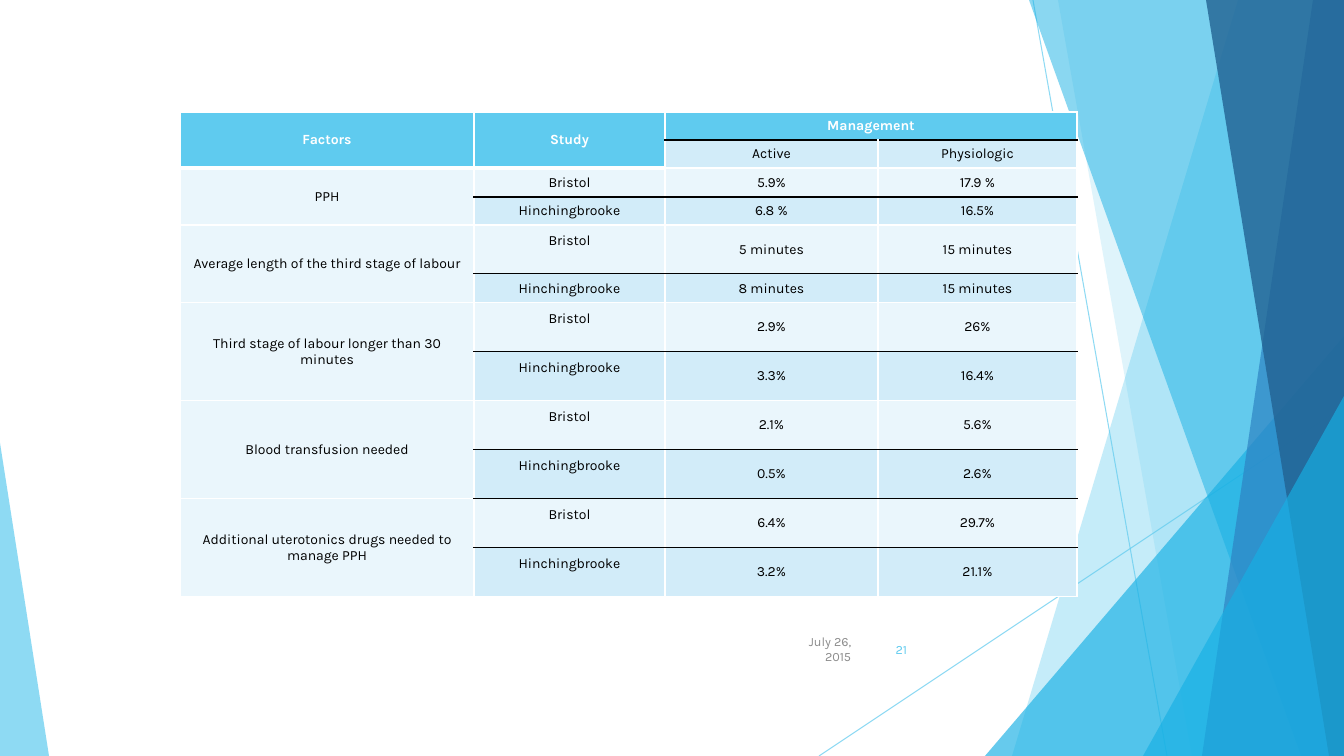
import pptx
import pptx.dml.color
import pptx.enum.shapes
import pptx.enum.text
import pptx.oxml.ns
import pptx.util
from lxml import etree

PX = 9071  # EMU per px
W, H = 1344, 756
FONT = "Karla"
SKY, CYAN, BLUE, NAVY = "5FCBEF", "17B0E4", "2E83C3", "226292"
PALE, LIGHT, WHITE, BLACK = "EAF6FC", "D2ECF9", "FFFFFF", "000000"
qn = pptx.oxml.ns.qn


def rgb(code):
    return pptx.dml.color.RGBColor.from_string(code)


def set_opacity(sp, percent):
    """Make every colour of the shape partly transparent."""
    for clr in sp._element.spPr.iter(qn("a:srgbClr")):
        etree.SubElement(clr, qn("a:alpha"), val=str(percent * 1000))


prs = pptx.Presentation()
prs.slide_width, prs.slide_height = W * PX, H * PX
s = prs.slides.add_slide(prs.slide_layouts[6])

# Thin lines behind the decoration
for x1, y1, x2, y2 in [(1033, 0, 1167, H), (W, 406, 819, H)]:
    line = s.shapes.add_connector(pptx.enum.shapes.MSO_CONNECTOR.STRAIGHT,
                                  x1 * PX, y1 * PX, x2 * PX, y2 * PX)
    line.line.color.rgb = rgb(SKY)
    line.line.width = pptx.util.Pt(0.75)
    set_opacity(line, 70)
    etree.SubElement(line._element.spPr, qn("a:effectLst"))

# Bands run from (top x, bottom x) to the right edge;
# triangles are left, top, width and apex position
decoration = [
    ("band", (1238, 1012), SKY, 36),
    ("band", (1058, 1192), SKY, 20),
    ("triangle", (985, 336, 359, 1), CYAN, 66),
    ("band", (1029, 1301), CYAN, 50),
    ("band", (1313, 1202), BLUE, 70),
    ("band", (1206, 1329), NAVY, 80),
    ("triangle", (1143, 396, 201, 1), CYAN, 66),
    ("triangle", (0, 443, 49, 0), SKY, 70),
]
for kind, place, color, opacity in decoration:
    if kind == "band":
        top_x, bottom_x = place
        outline = s.shapes.build_freeform(top_x, 0, scale=PX)
        outline.add_line_segments([(W, 0), (W, H), (bottom_x, H)], close=True)
        sp = outline.convert_to_shape()
    else:
        left, top, width, apex = place
        sp = s.shapes.add_shape(pptx.enum.shapes.MSO_SHAPE.ISOSCELES_TRIANGLE,
                                left * PX, top * PX, width * PX, (H - top) * PX)
        sp.adjustments[0] = apex
    sp.shadow.inherit = False
    sp.fill.solid()
    sp.fill.fore_color.rgb = rgb(color)
    sp.line.fill.background()
    set_opacity(sp, opacity)

# Date and slide number
for left, width, text, color in [(785, 76, "July 26, 2015", "8C8C8C"),
                                 (861, 56, "21", SKY)]:
    tf = s.shapes.add_textbox(left * PX, 634 * PX, width * PX, 30 * PX).text_frame
    tf.word_wrap = True
    tf.vertical_anchor = pptx.enum.text.MSO_ANCHOR.MIDDLE
    p = tf.paragraphs[0]
    p.text = text
    p.alignment = pptx.enum.text.PP_ALIGN.RIGHT
    p.font.name, p.font.size = FONT, pptx.util.Pt(9)
    p.font.color.rgb = rgb(color)

# Table: each factor has one row per study
factors = [
    ("PPH", ("5.9%", "17.9 %"), ("6.8 %", "16.5%")),
    ("Average length of the third stage of labour",
     ("5 minutes", "15 minutes"), ("8 minutes", "15 minutes")),
    ("Third stage of labour longer than 30 minutes",
     ("2.9%", "26%"), ("3.3%", "16.4%")),
    ("Blood transfusion needed", ("2.1%", "5.6%"), ("0.5%", "2.6%")),
    ("Additional uterotonics drugs needed to manage PPH",
     ("6.4%", "29.7%"), ("3.2%", "21.1%")),
]
rows = [("Factors", "Study", "Management", ""), ("", "", "Active", "Physiologic")]
for factor, bristol, hinchingbrooke in factors:
    rows.append((factor, "Bristol", *bristol))
    rows.append(("", "Hinchingbrooke", *hinchingbrooke))

col_widths = [294, 191, 213, 199]
row_heights = [28, 28, 29, 28, 49, 29] + [49] * 6
black_edges = {1, 3, 5, 7, 9, 10, 11}
table = s.shapes.add_table(len(rows), len(col_widths), 180 * PX, 112 * PX,
                           sum(col_widths) * PX, sum(row_heights) * PX).table
table.first_row = table.horz_banding = False
for column, width in zip(table.columns, col_widths):
    column.width = width * PX
for row, height in zip(table.rows, row_heights):
    row.height = height * PX

for i, texts in enumerate(rows):
    for j, text in enumerate(texts):
        cell = table.cell(i, j)
        header = i == 0 or (i == 1 and j < 2)
        cell.margin_left = cell.margin_right = 7 * PX
        cell.margin_top = cell.margin_bottom = 4 * PX
        if j == 1 and row_heights[i] == 49:
            cell.margin_bottom = 21 * PX  # study names sit above the middle
        cell.vertical_anchor = pptx.enum.text.MSO_ANCHOR.MIDDLE

        for side, edge in [("L", None), ("R", None), ("T", i), ("B", i + 1)]:
            color, points = WHITE, 1
            if j < 2 and edge in (1, 2):
                points = 3
            elif j > 0 and edge in black_edges:
                color = BLACK
            ln = etree.SubElement(cell._tc.get_or_add_tcPr(), qn("a:ln" + side),
                                  w=str(pptx.util.Pt(points)))
            solid = etree.SubElement(ln, qn("a:solidFill"))
            etree.SubElement(solid, qn("a:srgbClr"), val=color)

        cell.fill.solid()
        cell.fill.fore_color.rgb = rgb(
            SKY if header else PALE if j == 0 or i % 2 == 0 else LIGHT)
        p = cell.text_frame.paragraphs[0]
        p.text = text
        p.alignment = pptx.enum.text.PP_ALIGN.CENTER
        p.font.name, p.font.size = FONT, pptx.util.Pt(10)
        p.font.bold = header
        p.font.color.rgb = rgb(WHITE if header else BLACK)

table.cell(0, 1).merge(table.cell(1, 1))
table.cell(0, 2).merge(table.cell(0, 3))
for i in range(0, len(rows), 2):
    table.cell(i, 0).merge(table.cell(i + 1, 0))

prs.save("out.pptx")
